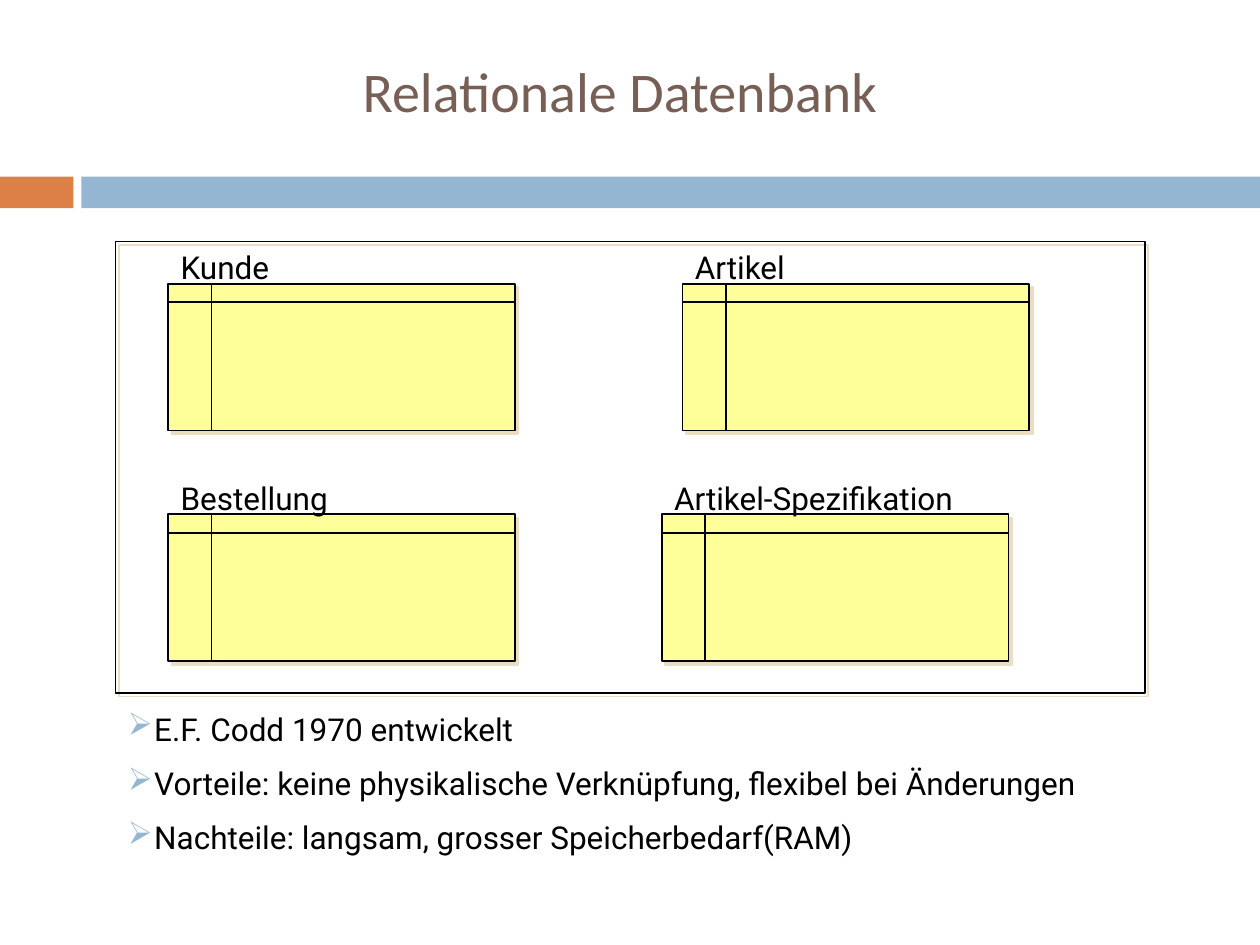
from lxml.etree import SubElement
from pptx import Presentation
from pptx.dml.color import RGBColor as RGB
from pptx.enum.shapes import MSO_SHAPE as SHAPE
from pptx.enum.text import MSO_ANCHOR as ANCHOR, MSO_AUTO_SIZE as AUTO, PP_ALIGN as ALIGN
from pptx.oxml.ns import qn
from pptx.util import Cm, Pt

COLORS = {
    "title": "775F55",
    "accent": "DD8047",
    "bar": "94B6D2",
    "table": "FFFF99",
    "ink": "000000",
    "shadow": "EBDDC3",
}
TITLE_FONT = {"name": "Calibri", "size": Pt(32)}
BODY_FONT = {"name": "Roboto", "size": Pt(18)}
TABLE_SIZE = (6.99, 2.96)
LABEL_RISE = 0.84
TABLES = [
    ("Kunde", 3.39, 5.72, 4.87),
    ("Bestellung", 3.39, 10.37, 4.87),
    ("Artikel", 13.76, 5.72, 4.87),
    ("Artikel-Spezifikation", 13.34, 10.37, 6.77),
]
POINTS = [
    "E.F. Codd 1970 entwickelt",
    "Vorteile: keine physikalische Verknüpfung, flexibel bei Änderungen",
    "Nachteile: langsam, grosser Speicherbedarf(RAM)",
]


class SlideBuilder:
    def __init__(self, prs):
        self.s = prs.slides.add_slide(prs.slide_layouts[5])

    def color(self, key):
        return RGB.from_string(COLORS[key])

    def add_text_run(self, p, text, font, color):
        r = p.add_run()
        r.text = text
        for name, value in font.items():
            setattr(r.font, name, value)
        r.font.color.rgb = self.color(color)

    def title(self, text, x, y, w, h):
        sp = self.s.shapes.title
        place = {"left": Cm(x), "top": Cm(y), "width": Cm(w), "height": Cm(h)}
        for name, value in place.items():
            setattr(sp, name, value)
        tf = sp.text_frame
        tf.vertical_anchor = ANCHOR.MIDDLE
        p = tf.paragraphs[0]
        p.alignment = ALIGN.CENTER
        self.add_text_run(p, text, TITLE_FONT, "title")

    def box(self, x, y, w, h, fill=None, kind=SHAPE.RECTANGLE, outlined=False):
        sp = self.s.shapes.add_shape(kind, Cm(x), Cm(y), Cm(w), Cm(h))
        sp.shadow.inherit = False
        if fill:
            sp.fill.solid()
            sp.fill.fore_color.rgb = self.color(fill)
        else:
            sp.fill.background()
        if outlined:
            sp.line.color.rgb = self.color("ink")
            sp.line.width = Pt(1)
            self.drop_shadow(sp)
        else:
            sp.line.fill.background()

    def drop_shadow(self, sp):
        effects = sp._element.spPr.find(qn("a:effectLst"))
        shadow = SubElement(effects, qn("a:outerShdw"), blurRad="0", dist=str(Pt(2.8)),
                            dir=str(45 * 60000), algn="ctr", rotWithShape="0")
        SubElement(shadow, qn("a:srgbClr"), val=COLORS["shadow"])

    def text(self, lines, x, y, w, h, bullet=None):
        tf = self.s.shapes.add_textbox(Cm(x), Cm(y), Cm(w), Cm(h)).text_frame
        tf.word_wrap = True
        tf.auto_size = AUTO.SHAPE_TO_FIT_TEXT
        for i, line in enumerate(lines):
            p = tf.add_paragraph() if i else tf.paragraphs[0]
            if bullet:
                self.bullet(p, bullet)
            if i:
                p.space_before = Pt(9.5)
            self.add_text_run(p, line, BODY_FONT, "ink")

    def bullet(self, p, char):
        pPr = p._p.get_or_add_pPr()
        indent = Cm(0.53)
        pPr.set("marL", str(indent))
        pPr.set("indent", str(-indent))
        SubElement(SubElement(pPr, qn("a:buClr")), qn("a:srgbClr"), val=COLORS["bar"])
        SubElement(pPr, qn("a:buChar"), char=char)

    def table_symbol(self, name, x, y, label_width):
        self.box(x, y, *TABLE_SIZE, "table", SHAPE.FLOWCHART_INTERNAL_STORAGE, True)
        self.text([name], x, y - LABEL_RISE, label_width, 1.02)


def main():
    prs = Presentation()
    prs.slide_width, prs.slide_height = Cm(25.4), Cm(19.05)
    b = SlideBuilder(prs)
    b.box(0, 3.56, 1.48, 0.64, "accent")
    b.box(1.64, 3.56, 23.76, 0.64, "bar")
    b.title("Relationale Datenbank", 1.11, 0.64, 22.78, 2.34)
    b.box(2.33, 4.87, 20.75, 9.1, outlined=True)
    for table in TABLES:
        b.table_symbol(*table)
    b.text(POINTS, 2.33, 14.18, 20.96, 3.3, bullet="➢")
    prs.save("out.pptx")


if __name__ == "__main__":
    main()
